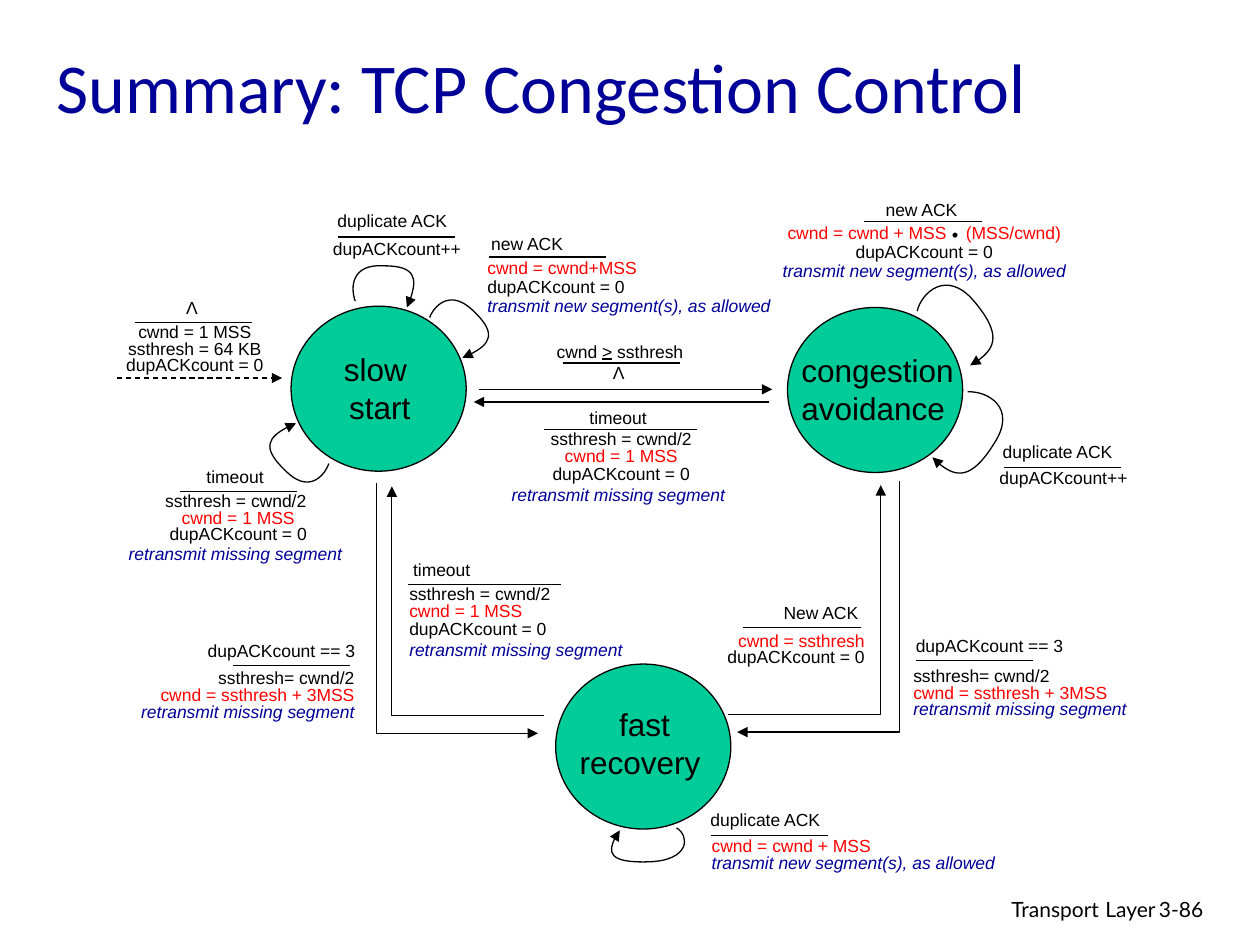
from dataclasses import dataclass
from typing import NamedTuple

from lxml import etree
from pptx import Presentation
from pptx.dml.color import RGBColor
from pptx.enum.dml import MSO_LINE
from pptx.enum.shapes import MSO_CONNECTOR, MSO_SHAPE
from pptx.enum.text import MSO_ANCHOR, MSO_AUTO_SIZE, PP_ALIGN
from pptx.oxml.ns import qn
from pptx.util import Inches, Pt

LEFT, CENTER, RIGHT = PP_ALIGN.LEFT, PP_ALIGN.CENTER, PP_ALIGN.RIGHT
MIDDLE = MSO_ANCHOR.MIDDLE
FIT = MSO_AUTO_SIZE.SHAPE_TO_FIT_TEXT
DASH = MSO_LINE.DASH
STRAIGHT, OVAL = MSO_CONNECTOR.STRAIGHT, MSO_SHAPE.OVAL

COLORS = {"black": "000000", "red": "FF0000", "navy": "000099", "green": "00CC99"}
LINE_WIDTH = Pt(0.75)
CIRCLE_SIZE = (1.39, 1.31)

BASE = {"name": "Arial", "size": Pt(10), "color": "black"}
STYLES = {
    "plain": BASE,
    "window": BASE | {"color": "red"},
    "send": BASE | {"color": "navy", "italic": True},
    "pad": BASE | {"size": Pt(12)},
    "gap": BASE | {"color": "red"},
    "state": BASE | {"size": Pt(18)},
    "dot": BASE | {"name": "Times New Roman", "size": Pt(24)},
    "title": {"name": "Calibri", "size": Pt(40), "color": "navy"},
    "footer": {"name": "Lato", "size": Pt(12), "color": "black"},
    "footer gap": {"name": "Lato", "size": Pt(14), "color": "black"},
}
GAP_SPACING = 834  # hundredths of a point, added after the one space of a "gap" span


class Span(NamedTuple):
    text: str
    style: str = "plain"


class Rule(NamedTuple):
    left: float
    top: float
    width: float = 0.93


class Arrow(NamedTuple):
    points: list[tuple[float, float]]
    curved: bool = False


@dataclass
class Note:
    left: float
    top: float
    width: float
    height: float
    lines: list[list[Span]]
    align: PP_ALIGN = LEFT
    spacing: float = 1.0
    wrap: bool = False


@dataclass
class Transition:
    """An event above a rule, with the actions it triggers below."""
    event: Note
    rule: Rule
    action: Note


@dataclass
class State:
    left: float
    top: float
    label: Note


def label(left: float, top: float, width: float, text: str, align: PP_ALIGN = LEFT) -> Note:
    return Note(left, top, width, 0.27, [[Span(text)]], align)


def state_label(left: float, top: float, width: float, height: float, *words: str) -> Note:
    return Note(left, top, width, height, [[Span(word, "state")] for word in words], CENTER)


RESET = [Span("cwnd = 1 MSS", "window")]
CLEAR = [Span("dupACKcount = 0")]
COUNT = [Span("dupACKcount++")]
RETRANSMIT = [Span("retransmit missing segment", "send")]
TRANSMIT = [Span("transmit new segment(s), as allowed", "send")]
HALVE = [Span("ssthresh = cwnd/2")]
ON_TIMEOUT = [HALVE, RESET, CLEAR, RETRANSMIT + [Span(" ", "pad")]]
ON_TRIPLE = [[Span("ssthresh= cwnd/2")], [Span("cwnd = ssthresh + 3MSS", "window")], RETRANSMIT]
AVOIDANCE_GROWTH = [Span("cwnd = cwnd + MSS", "window"), Span(" ", "gap"),
                    Span("(MSS/cwnd)", "window")]

STATES = [
    State(2.31, 2.43, state_label(2.63, 2.73, 0.77, 0.7, "slow ", "start")),
    State(6.25, 2.44, state_label(6.26, 2.74, 1.41, 1, "congestion", "avoidance ")),
    State(4.41, 5.27, state_label(4.5, 5.55, 1.23, 1, "fast", "recovery ")),
]

TRANSITIONS = [
    Transition(label(1.38, 2.31, 0.3, "Λ"), Rule(1.07, 2.56),
               Note(0.9, 2.53, 1.29, 0.5,
                    [[Span("cwnd = 1 MSS")], [Span("ssthresh = 64 KB")], CLEAR], CENTER, 0.8)),
    Transition(label(2.58, 1.62, 1.08, "duplicate ACK"), Rule(2.68, 1.88),
               Note(2.54, 1.87, 1.22, 0.39, [COUNT], CENTER, 0.8)),
    Transition(label(3.8, 1.8, 0.78, "new ACK"), Rule(3.88, 2.04),
               Note(3.77, 2.01, 2.47, 0.72,
                    [[Span("cwnd = cwnd+MSS", "window")], CLEAR, TRANSMIT], LEFT, 0.9)),
    Transition(label(1.54, 3.65, 0.68, "timeout"), Rule(1.43, 3.9),
               Note(0.92, 3.87, 1.94, 0.66,
                    [[Span("ssthresh = cwnd/2 ")]] + ON_TIMEOUT[1:], CENTER, 0.8)),
    Transition(label(4.32, 2.66, 1.2, "cwnd > ssthresh"), Rule(4.47, 2.88),
               Note(4.76, 2.86, 0.3, 0.23, [[Span("Λ")]], CENTER, 0.8)),
    Transition(label(4.58, 3.18, 0.68, "timeout"), Rule(4.32, 3.41, 1.21),
               Note(3.96, 3.37, 1.94, 0.7, ON_TIMEOUT, CENTER, 0.85)),
    Transition(label(6.93, 1.53, 0.78, "new ACK"), Rule(6.86, 1.76),
               Note(6.1, 1.73, 2.47, 0.72, [AVOIDANCE_GROWTH, CLEAR, TRANSMIT], CENTER, 0.9)),
    Transition(label(7.86, 3.45, 1.08, "duplicate ACK"), Rule(7.97, 3.71),
               Note(7.83, 3.69, 1.22, 0.39, [COUNT], CENTER, 0.8)),
    Transition(label(1.55, 5.03, 1.37, "dupACKcount == 3"), Rule(1.85, 5.28),
               Note(1.02, 5.28, 1.89, 0.66, ON_TRIPLE, RIGHT, 0.8)),
    Transition(label(3.18, 4.39, 0.68, "timeout"), Rule(3.24, 4.64, 1.21),
               Note(3.15, 4.6, 1.94, 0.7, ON_TIMEOUT, LEFT, 0.85)),
    Transition(label(6.11, 4.73, 0.8, "New ACK", RIGHT), Rule(5.9, 4.98),
               Note(5.67, 4.98, 1.29, 0.66,
                    [[Span("cwnd = ssthresh", "window")], CLEAR], RIGHT, 0.8)),
    Transition(label(7.17, 4.99, 1.37, "dupACKcount == 3"), Rule(7.27, 5.24),
               Note(7.15, 5.26, 1.89, 0.66, ON_TRIPLE, LEFT, 0.8)),
    Transition(label(5.54, 6.37, 1.08, "duplicate ACK"), Rule(5.64, 6.63),
               Note(5.55, 6.6, 2.45, 0.55,
                    [[Span("cwnd = cwnd + MSS", "window")], TRANSMIT], LEFT, 0.85)),
]

ARROWS = [
    Arrow([(2.99, 3.83), (2.99, 5.82), (4.27, 5.82)]),
    Arrow([(4.32, 5.68), (3.11, 5.68), (3.11, 3.86)]),
    Arrow([(7.14, 3.82), (7.14, 5.81), (5.85, 5.81)]),
    Arrow([(5.78, 5.67), (6.99, 5.67), (6.99, 3.85)]),
    Arrow([(2.82, 2.39), (2.78, 2.28), (2.79, 2.09), (3.05, 2.11),
           (3.3, 2.11), (3.32, 2.24), (3.23, 2.44)], True),
    Arrow([(3.41, 2.52), (3.45, 2.42), (3.58, 2.29), (3.76, 2.47),
           (3.95, 2.65), (3.87, 2.76), (3.67, 2.84)], True),
    Arrow([(2.61, 3.68), (2.57, 3.79), (2.44, 3.92), (2.26, 3.73),
           (2.07, 3.55), (2.15, 3.44), (2.35, 3.36)], True),
    Arrow([(7.28, 2.47), (7.31, 2.33), (7.51, 2.13), (7.73, 2.39),
           (7.95, 2.65), (7.89, 2.8), (7.7, 2.9)], True),
    Arrow([(7.68, 3.11), (7.83, 3.1), (8.08, 3.23), (7.89, 3.52),
           (7.71, 3.81), (7.55, 3.79), (7.4, 3.63)], True),
    Arrow([(5.37, 6.57), (5.48, 6.64), (5.47, 6.83), (5.15, 6.84),
           (4.82, 6.85), (4.82, 6.72), (4.92, 6.59)], True),
]


def rgb(name: str) -> RGBColor:
    return RGBColor.from_string(COLORS[name])


def style_line(shape, arrow: bool = False) -> None:
    shape.line.color.rgb = rgb("black")
    shape.line.width = LINE_WIDTH
    if arrow:
        etree.SubElement(shape.line._get_or_add_ln(), qn("a:tailEnd"), type="triangle")


def draw_note(page, note: Note):
    box = page.shapes.add_textbox(*map(Inches, (note.left, note.top, note.width, note.height)))
    frame = box.text_frame
    frame.word_wrap = note.wrap
    if not note.wrap:
        frame.auto_size = FIT
    for index, line in enumerate(note.lines):
        para = frame.add_paragraph() if index else frame.paragraphs[0]
        para.alignment = note.align
        para.line_spacing = note.spacing
        for text, style in line:
            span = para.add_run()
            span.text = text
            for key, value in STYLES[style].items():
                if key == "color":
                    span.font.color.rgb = rgb(value)
                else:
                    setattr(span.font, key, value)
            if style == "gap":
                span.font._element.set("spc", str(GAP_SPACING))
    return box


def draw_line(page, start: tuple, end: tuple, arrow: bool = False, dashed: bool = False) -> None:
    line = page.shapes.add_connector(STRAIGHT, *map(Inches, start + end))
    if dashed:
        line.line.dash_style = DASH
    style_line(line, arrow)
    etree.SubElement(line._element.spPr, qn("a:effectLst"))


def draw_arrow(page, arrow: Arrow) -> None:
    """Draw a bent arrow; a curved one takes its points as cubic Bézier triples."""
    points = [(Inches(x), Inches(y)) for x, y in arrow.points]
    builder = page.shapes.build_freeform(*points[0])
    builder.add_line_segments(points[1:], close=False)
    shape = builder.convert_to_shape()
    shape.fill.background()
    shape.shadow.inherit = False
    style_line(shape, arrow=True)
    if arrow.curved:
        outline = shape._element.find(".//" + qn("a:path"))
        segments = outline.findall(qn("a:lnTo"))
        for first in range(0, len(segments), 3):
            curve = etree.SubElement(outline, qn("a:cubicBezTo"))
            for segment in segments[first:first + 3]:
                curve.append(segment[0])
                outline.remove(segment)


def draw_state(page, state: State) -> None:
    circle = page.shapes.add_shape(OVAL, *map(Inches, (state.left, state.top, *CIRCLE_SIZE)))
    circle.shadow.inherit = False
    circle.fill.solid()
    circle.fill.fore_color.rgb = rgb("green")
    style_line(circle)
    draw_note(page, state.label)


def draw_transition(page, transition: Transition) -> None:
    left, top, width = transition.rule
    draw_note(page, transition.event)
    draw_line(page, (left, top), (left + width, top))
    draw_note(page, transition.action)


def main() -> None:
    deck = Presentation()
    deck.slide_width, deck.slide_height = Inches(10), Inches(7.5)
    page = deck.slides.add_slide(deck.slide_layouts[6])

    footer = [Span("Transport", "footer"), Span(" ", "footer gap"), Span("Layer", "footer")]
    draw_note(page, Note(6.1, 7.04, 3.17, 0.31, [footer], RIGHT, wrap=True))
    draw_note(page, Note(9.1, 7.07, 0.74, 0.3, [[Span("3-86", "footer")]], wrap=True))
    heading = [Span("Summary: TCP Congestion Control", "title")]
    title = draw_note(page, Note(0.35, 0.21, 8.5, 0.94, [heading], wrap=True))
    title.text_frame.vertical_anchor = MIDDLE

    for state in STATES:
        draw_state(page, state)
    for transition in TRANSITIONS:
        draw_transition(page, transition)
    draw_note(page, Note(7.44, 1.5, 0.28, 0.5, [[Span(".", "dot")]]))
    draw_line(page, (4.78, 2.85), (4.86, 2.85))
    draw_line(page, (0.93, 3), (2.24, 3), arrow=True, dashed=True)
    draw_line(page, (3.8, 3.09), (6.13, 3.09), arrow=True)
    draw_line(page, (6.1, 3.19), (3.76, 3.19), arrow=True)
    for arrow in ARROWS:
        draw_arrow(page, arrow)
    deck.save("out.pptx")


if __name__ == "__main__":
    main()
